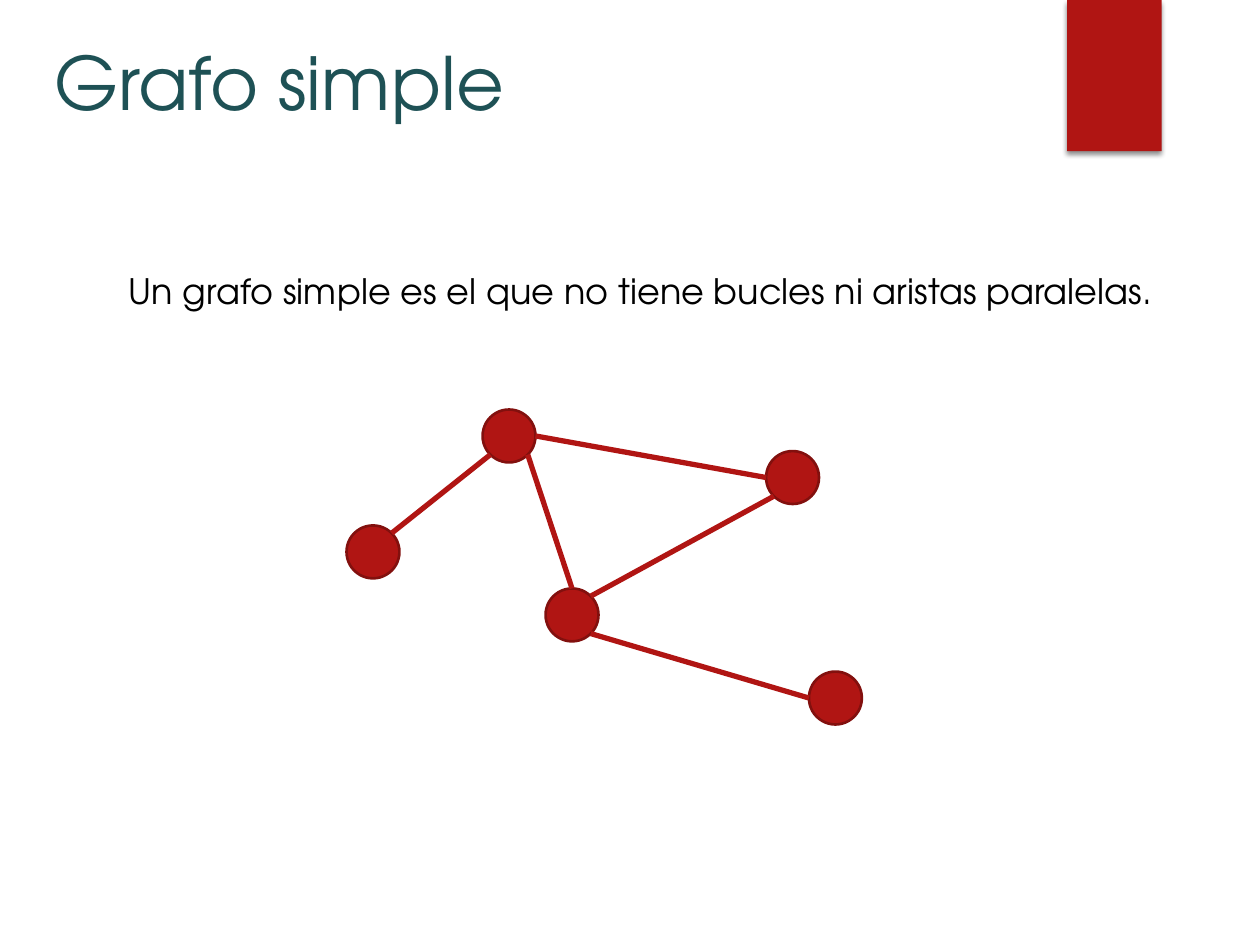
"""Build the "Grafo simple" slide: a title, a definition and an example graph."""
from math import cos, radians, sin

from lxml.etree import SubElement
from pptx import Presentation
from pptx.dml.color import RGBColor
from pptx.enum.shapes import MSO_CONNECTOR as Link, MSO_SHAPE as Preset
from pptx.enum.text import MSO_ANCHOR as Anchor, MSO_AUTO_SIZE as Fit, PP_ALIGN as Align
from pptx.oxml import parse_xml
from pptx.oxml.ns import nsdecls, qn
from pptx.util import Inches, Pt

RED, DARK_RED, TEAL, BLACK = "B01513", "82100E", "1E5155", "000000"
DIAMETER = 0.42


def color(hex_value):
    return RGBColor.from_string(hex_value)


def write(holder, text, frame_format, paragraph_format, size, ink):
    frame = holder.text_frame
    frame.text = text
    paragraph = frame.paragraphs[0]
    font = paragraph.runs[0].font
    font_format = {"name": "TeX Gyre Adventor", "size": Pt(size)}
    for target, values in ((frame, frame_format), (paragraph, paragraph_format), (font, font_format)):
        for key, value in values.items():
            setattr(target, key, value)
    font.color.rgb = color(ink)


deck = Presentation()
deck.slide_width, deck.slide_height = Inches(10), Inches(7.5)
slide = deck.slides.add_slide(deck.slide_layouts[5])
shapes = slide.shapes

heading = shapes.title
heading_box = {"left": 0.33, "top": 0.24, "width": 9, "height": 1.25}
for key, value in heading_box.items():
    setattr(heading, key, Inches(value))
write(heading, "Grafo simple",
      {"word_wrap": True, "auto_size": Fit.NONE, "vertical_anchor": Anchor.TOP},
      {"alignment": Align.LEFT}, 42, TEAL)

ribbon = shapes.add_shape(Preset.RECTANGLE, Inches(8.47), 0, Inches(0.75), Inches(1.2))
ribbon.fill.solid()
ribbon.fill.fore_color.rgb = color(RED)
ribbon.line.fill.background()
ribbon.element.spPr.append(parse_xml(
    f'<a:effectLst {nsdecls("a")}>'
    f'<a:outerShdw blurRad="{Pt(3)}" dist="{Pt(2)}" dir="5400000" rotWithShape="0">'
    '<a:srgbClr val="000000"><a:alpha val="45000"/></a:srgbClr>'
    '</a:outerShdw></a:effectLst>'))
heading.element.addprevious(ribbon.element)

definition = shapes.add_textbox(Inches(0.92), Inches(1.92), Inches(8.33), Inches(0.91))
write(definition, "Un grafo simple es el que no tiene bucles ni aristas paralelas.",
      {"word_wrap": True, "auto_size": Fit.SHAPE_TO_FIT_TEXT, "vertical_anchor": Anchor.TOP},
      {"alignment": Align.JUSTIFY, "line_spacing": 1.5}, 20, BLACK)

vertices = {
    "upper": (3.83, 3.25),
    "center": (4.33, 4.67),
    "left": (2.75, 4.17),
    "right": (6.08, 3.58),
    "lower": (6.42, 5.33),
}
for left, top in vertices.values():
    vertex = shapes.add_shape(Preset.OVAL, Inches(left), Inches(top), Inches(DIAMETER), Inches(DIAMETER))
    vertex.shadow.inherit = False
    vertex.fill.solid()
    vertex.fill.fore_color.rgb = color(RED)
    vertex.line.color.rgb = color(DARK_RED)
    vertex.line.width = Pt(1.5)

edges = [
    (("upper", 135), ("left", -45)),
    (("upper", 45), ("center", -90)),
    (("lower", 180), ("center", 45)),
    (("right", 135), ("center", -45)),
    (("right", 180), ("upper", 0)),
]
for ends in edges:
    points = []
    for name, angle in ends:
        left, top = vertices[name]
        points += [Inches(left + DIAMETER / 2 * (1 + cos(radians(angle)))),
                   Inches(top + DIAMETER / 2 * (1 + sin(radians(angle))))]
    edge = shapes.add_connector(Link.STRAIGHT, *points)
    edge.line.color.rgb = color(RED)
    edge.line.width = Pt(3)
    SubElement(edge.element.spPr, qn("a:effectLst"))

deck.save("out.pptx")
